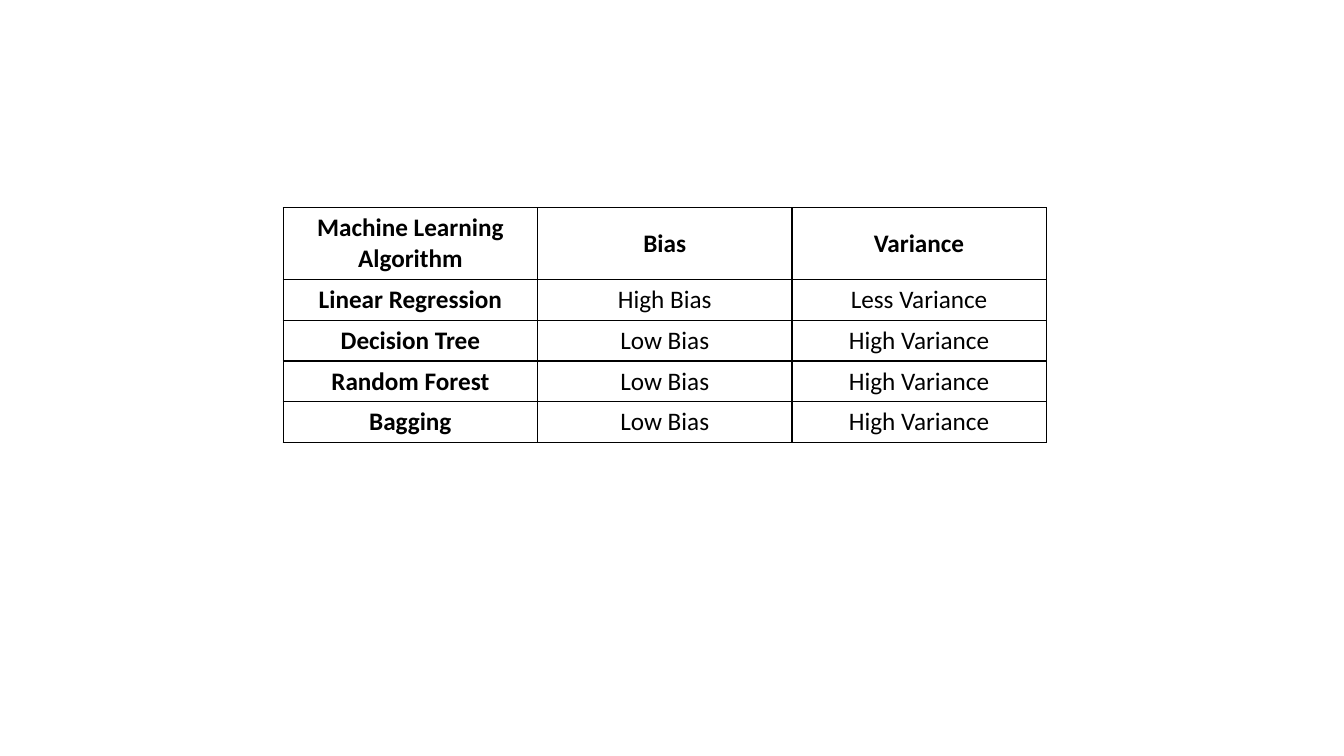
import pptx
import pptx.dml.color
import pptx.enum.text
import pptx.oxml
import pptx.oxml.ns
import pptx.util

Pt = pptx.util.Pt
COLORS = {"ink": "000000"}
FONT = "Calibri"
HEADER_HEIGHT = 49
ROW_HEIGHT = 28
ROWS = [
    ("Machine Learning Algorithm", "Bias", "Variance"),
    ("Linear Regression", "High Bias", "Less Variance"),
    ("Decision Tree", "Low Bias", "High Variance"),
    ("Random Forest", "Low Bias", "High Variance"),
    ("Bagging", "Low Bias", "High Variance"),
]


def add_borders(cell):
    """Draw a one-point line on all four sides of a cell."""
    properties = cell._tc.get_or_add_tcPr()
    for index, side in enumerate(("lnL", "lnR", "lnT", "lnB")):
        line = pptx.oxml.parse_xml(
            f'<a:{side} {pptx.oxml.ns.nsdecls("a")} w="{Pt(1)}"><a:solidFill>'
            f'<a:srgbClr val="{COLORS["ink"]}"/></a:solidFill></a:{side}>'
        )
        properties.insert(index, line)


def fill_cell(cell, text, bold):
    """Write centred text in an unfilled, bordered cell."""
    cell.fill.background()
    add_borders(cell)
    cell.vertical_anchor = pptx.enum.text.MSO_ANCHOR.MIDDLE
    paragraph = cell.text_frame.paragraphs[0]
    paragraph.alignment = pptx.enum.text.PP_ALIGN.CENTER
    run = paragraph.add_run()
    run.text = text
    run.font.name = FONT
    run.font.size = Pt(18)
    run.font.bold = bold
    run.font.color.rgb = pptx.dml.color.RGBColor.from_string(COLORS["ink"])


def add_comparison_table(slide, left, top, width):
    """Place the bias and variance table with equal columns."""
    column_count = len(ROWS[0])
    height = HEADER_HEIGHT + ROW_HEIGHT * (len(ROWS) - 1)
    table = slide.shapes.add_table(
        len(ROWS), column_count, Pt(left), Pt(top), Pt(width), Pt(height)
    ).table
    table.horz_banding = False
    for column in table.columns:
        column.width = Pt(width / column_count)
    for row_index, texts in enumerate(ROWS):
        table.rows[row_index].height = Pt(ROW_HEIGHT if row_index else HEADER_HEIGHT)
        for column_index, text in enumerate(texts):
            bold = row_index == 0 or column_index == 0
            fill_cell(table.cell(row_index, column_index), text, bold)


def main():
    """Build and save the slide."""
    presentation = pptx.Presentation()
    presentation.slide_width = Pt(960)
    presentation.slide_height = Pt(540)
    slide = presentation.slides.add_slide(presentation.slide_layouts[6])
    add_comparison_table(slide, 202.3, 148.3, 545.1)
    presentation.save("out.pptx")


if __name__ == "__main__":
    main()
